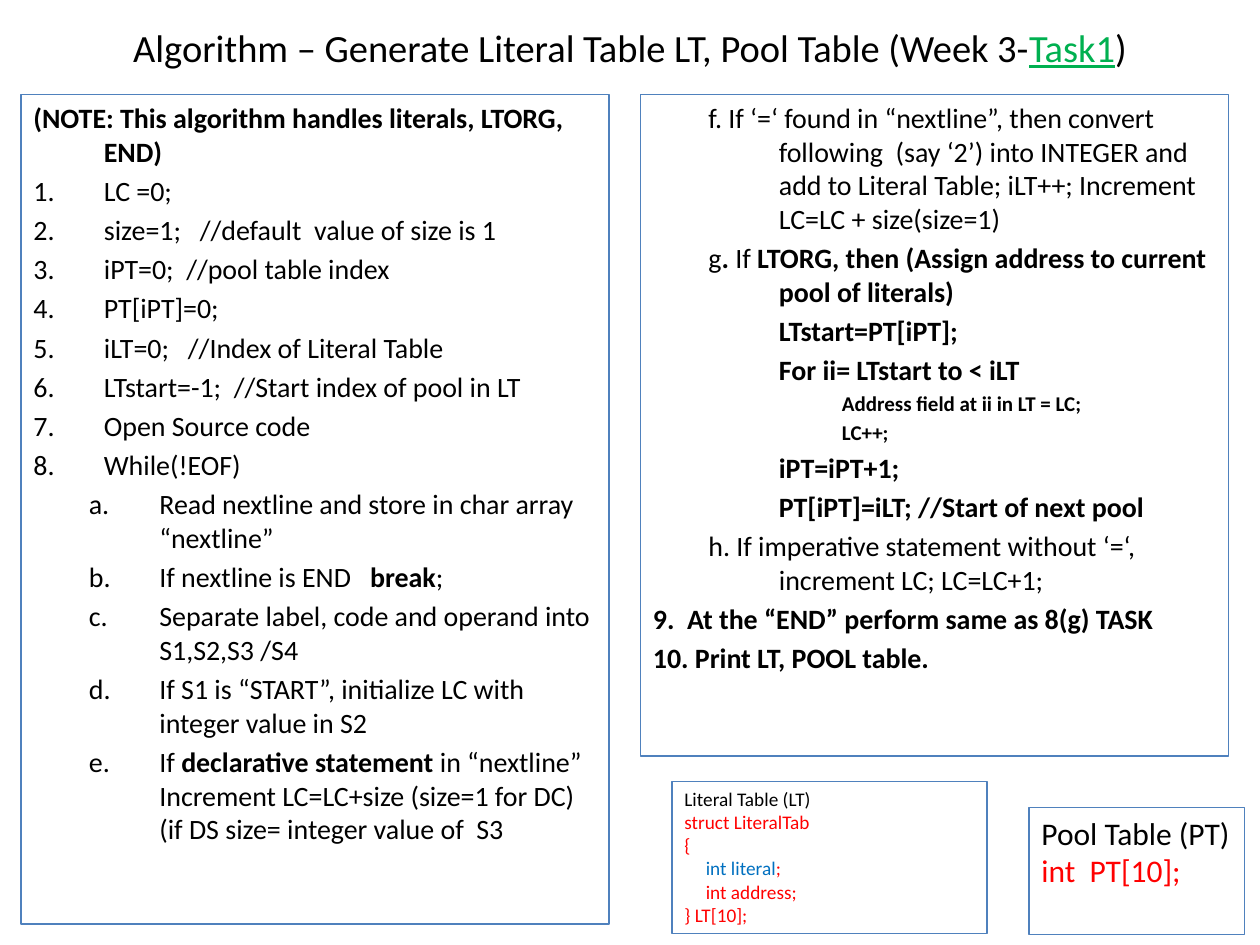
from lxml import etree
from pptx import Presentation
from pptx.dml.color import RGBColor
from pptx.enum.shapes import MSO_SHAPE
from pptx.enum.text import MSO_ANCHOR, MSO_AUTO_SIZE, PP_ALIGN
from pptx.oxml.ns import qn
from pptx.util import Inches, Pt

RECT = MSO_SHAPE.RECTANGLE
TOP, MIDDLE = MSO_ANCHOR.TOP, MSO_ANCHOR.MIDDLE
LEFT, CENTER = PP_ALIGN.LEFT, PP_ALIGN.CENTER
GROW = MSO_AUTO_SIZE.SHAPE_TO_FIT_TEXT

BLACK = RGBColor(0x00, 0x00, 0x00)
GREEN = RGBColor(0x00, 0xB0, 0x50)
RED = RGBColor(0xFF, 0x00, 0x00)
BLUE = RGBColor(0x00, 0x70, 0xC0)
EDGE = RGBColor(0x4F, 0x81, 0xBD)

# Paragraph kinds: level, left margin, first-line indent, numbering
PLAIN = (0, 0, 0, None)
FIELD = (0, 0.17, 0, None)
NOTE = (0, 0.56, -0.56, None)
STEP = (0, 0.56, -0.56, "arabicPeriod")
SUB = (1, 1, -0.56, "alphaLcPeriod")
MORE = (1, 1, -0.56, None)
LAST = (0, 0.5, -0.5, None)


class Deck:
    """Style and current slide; lengths are in grid cells of 1/12 inch."""
    face = "Calibri"
    cell = Inches(1) // 12

    def __init__(self):
        self.prs = Presentation()
        self.prs.slide_width, self.prs.slide_height = Inches(10), Inches(7.5)
        self.slide = self.prs.slides.add_slide(self.prs.slide_layouts[5])

    def grid(self, *cells):
        return [int(n * self.cell) for n in cells]

    def style(self, par, size, color=BLACK, bold=False):
        font = par.font
        font.name, font.size, font.bold = self.face, Pt(size), bold
        font.color.rgb = color

    def title(self, at, size, *runs):
        head = self.slide.shapes.title
        head.left, head.top, head.width, head.height = self.grid(*at)
        frame = head.text_frame
        frame.vertical_anchor = MIDDLE
        par = frame.paragraphs[0]
        par.alignment = CENTER
        self.style(par, size)
        for text, color in runs:
            run = par.add_run()
            run.text = text
            run.font.color.rgb = color
            run.font.underline = color == GREEN

    def box(self, at, wrap=True, grow=False):
        shape = self.slide.shapes.add_shape(RECT, *self.grid(*at))
        shape.shadow.inherit = False
        shape.fill.background()
        shape.line.color.rgb = EDGE
        shape.line.width = Pt(0.75)
        frame = shape.text_frame
        frame.word_wrap, frame.vertical_anchor = wrap, TOP
        if grow:
            frame.auto_size = GROW
        return frame

    def text(self, frame, size, rows, gap=0):
        """Each row is (kind, text or runs, options); runs are (text, bold, color)."""
        for i, (kind, body, *opts) in enumerate(rows):
            par = frame.add_paragraph() if i else frame.paragraphs[0]
            look = {"size": size, **(opts[0] if opts else {})}
            level, margin, indent, number = kind
            par.level, par.alignment = level, LEFT
            par.space_before = Pt(look["size"] * gap)
            props = par._p.get_or_add_pPr()
            props.set("marL", str(Inches(margin)))
            props.set("indent", str(Inches(indent)))
            if number:
                etree.SubElement(props, qn("a:buAutoNum"), type=number)
            self.style(par, **look)
            if isinstance(body, str):
                par.add_run().text = body
                continue
            for words, bold, color in body:
                run = par.add_run()
                run.text = words
                run.font.bold = bold
                run.font.color.rgb = color


def mix(*texts):
    """Alternate regular and bold runs."""
    return [(text, i % 2 == 1, BLACK) for i, text in enumerate(texts)]


BOLD = {"bold": True}
SMALL = {"bold": True, "size": 12}
CODE = {"color": RED}

deck = Deck()

# Title
deck.title((6, 1, 108, 7), 22,
           ("Algorithm – Generate Literal Table LT, Pool Table (Week 3-", BLACK),
           ("Task1", GREEN), (")", BLACK))

# Left column: steps 1 to 8e
steps = ["LC =0;", "size=1;   //default  value of size is 1",
         "iPT=0;  //pool table index", "PT[iPT]=0;",
         "iLT=0;   //Index of Literal Table",
         "LTstart=-1;  //Start index of pool in LT",
         "Open Source code", "While(!EOF)"]
subs = ["Read nextline and store in char array “nextline”",
        mix("If nextline is END  ", " break", ";"),
        "Separate label, code and operand into S1,S2,S3 /S4",
        "If S1 is “START”, initialize LC with integer value in S2",
        mix("If ", "declarative statement ",
            "in “nextline” Increment LC=LC+size (size=1 for DC) "
            "(if DS size= integer value of  S3")]
note = "(NOTE: This algorithm handles literals, LTORG, END)"
deck.text(deck.box((2, 9, 56, 79)), 16,
          [(NOTE, note, BOLD)] + [(STEP, s) for s in steps]
          + [(SUB, s) for s in subs], gap=0.2)

# Right column: steps 8f to 10
deck.text(deck.box((61, 9, 56, 63)), 16, [
    (MORE, "f. If ‘=‘ found in “nextline”, then convert  following  (say ‘2’) "
           "into INTEGER and add to Literal Table; iLT++; "
           "Increment LC=LC + size(size=1)"),
    (MORE, mix("g", ". ", "If ",
               "LTORG, then (Assign address to current pool of literals)")),
    (MORE, "\tLTstart=PT[iPT];", BOLD),
    (MORE, "\tFor ii= LTstart to < iLT", BOLD),
    (MORE, "\t\tAddress field at ii in LT = LC;", SMALL),
    (MORE, "\t\tLC++;", SMALL),
    (MORE, "\tiPT=iPT+1;", BOLD),
    (MORE, "\tPT[iPT]=iLT; //Start of next pool", BOLD),
    (MORE, "h. If imperative statement without ‘=‘, increment LC; LC=LC+1;"),
    (LAST, "9.  At the “END” perform same as 8(g) TASK", BOLD),
    (LAST, "10. Print LT, POOL table.", BOLD)], gap=0.2)

# Literal table structure
deck.text(deck.box((64, 74.4, 30, 14.5), grow=True), 11, [
    (PLAIN, "Literal Table (LT)"),
    (PLAIN, "struct LiteralTab", CODE),
    (PLAIN, "{", CODE),
    (FIELD, [("int literal", False, BLUE), (";", False, RED)]),
    (FIELD, "int address;", CODE),
    (PLAIN, "} LT[10];", CODE)])

# Pool table array
deck.text(deck.box((98, 76.9, 20.5, 12.1), wrap=False), 18, [
    (PLAIN, "Pool Table (PT)"),
    (PLAIN, "int  PT[10];", CODE)])

deck.prs.save("out.pptx")
